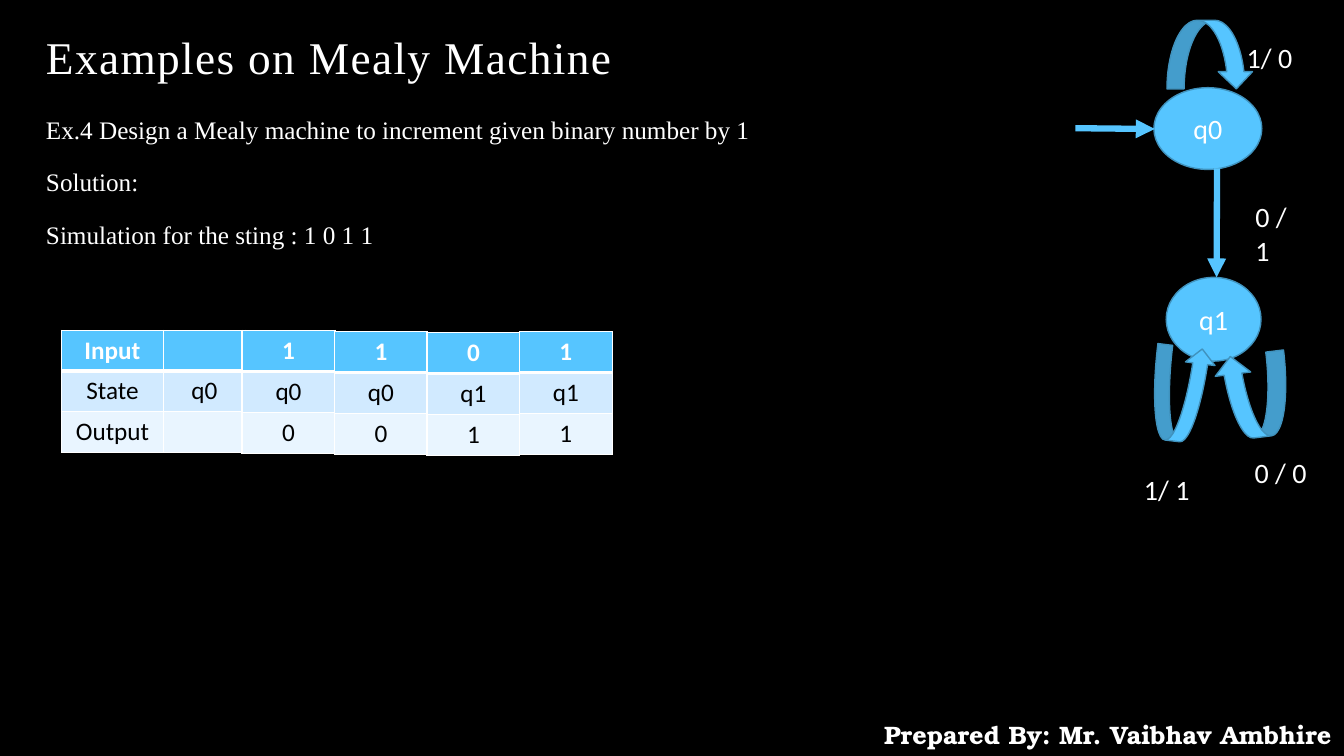
from pptx import Presentation
from pptx.dml.color import RGBColor
from pptx.enum.shapes import MSO_CONNECTOR, MSO_SHAPE
from pptx.enum.text import MSO_ANCHOR, PP_ALIGN
from pptx.oxml import parse_xml
from pptx.oxml.ns import nsdecls, qn
from pptx.util import Cm, Pt
from lxml.etree import SubElement

TITLE = "Examples on Mealy Machine"
BODY = [
    "Ex.4 Design a Mealy machine to increment given binary number by 1",
    "Solution:",
    "Simulation for the sting : 1 0 1 1",
]
FOOTER = "Prepared By: Mr. Vaibhav Ambhire"
STATES = [
    ("q0", (29.08, 2.21, 2.72, 2.06)),
    ("q1", (29.39, 6.99, 2.39, 2.11)),
]
ARROWS = [
    ((27.1, 3.23), (29.1, 3.25)),
    ((30.67, 4.24), (30.66, 6.99)),
]
LOOPS = [
    ((30.68, 8.92, 1.8, 2.11), 173, False),
    ((29.03, 8.74, 1.5, 2.39), 187, True),
    ((29.41, 0.51, 2.18, 1.73), 0, False),
]
TRANSITIONS = [
    ("0 / 0", (31.37, 11.35, 2.16, 1.12)),
    ("1/ 1", (28.58, 11.79, 1.78, 1.12)),
    ("1/ 0", (31.17, 0.89, 1.78, 1.12)),
    ("0 / 1", (31.39, 4.9, 1.78, 1.12)),
]
START = [("Input", ""), ("State", "q0"), ("Output", "")]
STEPS = [
    (("1", "q0", "0"), 8.33),
    (("1", "q0", "0"), 8.36),
    (("0", "q1", "1"), 8.38),
    (("1", "q1", "1"), 8.36),
]
STEP_LEFT, STEP_PITCH, STEP_WIDTH, ROW_HEIGHT = 6.1, 2.33, 2.34, 1.03

THEME = {
    "background": "000000",
    "accent": "56C5FF",
    "outline": "4092BD",
    "light": "FFFFFF",
    "dark": "000000",
    "rows": ["56C5FF", "D1EAFF", "E9F5FF"],
    "title": {"name": "Times New Roman", "size": Pt(32.4)},
    "body": {"name": "Times New Roman", "size": Pt(18)},
    "footer": {"name": "TeX Gyre Bonum", "size": Pt(18), "bold": True},
    "state": {"name": "Calibri", "size": Pt(20)},
    "header": {"name": "Calibri", "size": Pt(18), "bold": True},
    "cell": {"name": "Calibri", "size": Pt(18), "bold": False},
}


def lengths(values):
    return [Cm(value) for value in values]


def apply(target, values):
    for name, value in values.items():
        setattr(target, name, value)


def paint(fill, color):
    fill.solid()
    fill.fore_color.rgb = RGBColor.from_string(color)


def write(frame, lines, style, color="light", **paragraph_format):
    for index, line in enumerate(lines):
        para = frame.add_paragraph() if index else frame.paragraphs[0]
        apply(para, paragraph_format)
        span = para.add_run()
        span.text = line
        apply(span.font, THEME[style])
        span.font.color.rgb = RGBColor.from_string(THEME[color])


def add_text(page, bounds, lines, style, anchor=MSO_ANCHOR.TOP, **paragraph_format):
    box = page.shapes.add_textbox(*lengths(bounds))
    apply(box.text_frame, {"word_wrap": True, "vertical_anchor": anchor})
    write(box.text_frame, lines, style, **paragraph_format)
    return box


def add_figure(page, preset, bounds):
    figure = page.shapes.add_shape(preset, *lengths(bounds))
    figure.shadow.inherit = False
    paint(figure.fill, THEME["accent"])
    paint(figure.line.fill, THEME["outline"])
    figure.line.width = Pt(1)
    return figure


def add_arrow(page, start, end):
    arrow = page.shapes.add_connector(MSO_CONNECTOR.STRAIGHT, *lengths(start + end))
    paint(arrow.line.fill, THEME["accent"])
    arrow.line.width = Pt(4.5)
    SubElement(arrow.line._get_or_add_ln(), qn("a:tailEnd"), type="triangle")
    SubElement(arrow._element.spPr, qn("a:effectLst"))


def add_borders(cell, row):
    widths = {"L": 1, "R": 1, "T": 3 if row == 1 else 1, "B": 3 if row == 0 else 1}
    properties = cell._tc.get_or_add_tcPr()
    for index, (side, width) in enumerate(widths.items()):
        properties.insert(index, parse_xml(
            f'<a:ln{side} {nsdecls("a")} w="{Pt(width)}"><a:solidFill>'
            f'<a:srgbClr val="{THEME["light"]}"/></a:solidFill></a:ln{side}>'))


def add_grid(page, left, top, widths, rows, heights):
    bounds = (left, top, sum(widths), sum(heights))
    table = page.shapes.add_table(len(rows), len(widths), *lengths(bounds)).table
    for column, width in zip(table.columns, widths):
        column.width = Cm(width)
    for row, values in enumerate(rows):
        table.rows[row].height = Cm(heights[row])
        for column, value in enumerate(values):
            cell = table.cell(row, column)
            paint(cell.fill, THEME["rows"][row])
            add_borders(cell, row)
            if value:
                style, color = ("cell", "dark") if row else ("header", "light")
                write(cell.text_frame, [value], style, color, alignment=PP_ALIGN.CENTER)


def main():
    deck = Presentation()
    apply(deck, {"slide_width": Cm(33.87), "slide_height": Cm(19.05)})
    page = deck.slides.add_slide(deck.slide_layouts[6])
    paint(page.background.fill, THEME["background"])

    add_text(page, (21.95, 18.01, 11.94, 1.02), [FOOTER], "footer",
             alignment=PP_ALIGN.CENTER)
    title = add_text(page, (0.91, 0.89, 25.35, 1.35), [TITLE], "title",
                     MSO_ANCHOR.BOTTOM, line_spacing=0.9)
    title.text_frame.paragraphs[0].runs[0].font._element.set("spc", "100")
    add_text(page, (0.91, 2.84, 25.1, 7.37), BODY, "body",
             line_spacing=0.9, space_before=Pt(18))

    for name, bounds in STATES:
        state = add_figure(page, MSO_SHAPE.OVAL, bounds)
        state.text_frame.vertical_anchor = MSO_ANCHOR.MIDDLE
        write(state.text_frame, [name], "state", alignment=PP_ALIGN.CENTER)
    for start, end in ARROWS:
        add_arrow(page, start, end)
    for bounds, rotation, flipped in LOOPS:
        loop = add_figure(page, MSO_SHAPE.CURVED_DOWN_ARROW, bounds)
        loop.rotation = rotation
        if flipped:
            loop._element.spPr.xfrm.set("flipH", "1")
    for label, bounds in TRANSITIONS:
        add_text(page, bounds, [label], "state")

    add_grid(page, 1.55, 8.33, [2.57, 2.06], START, [0.99, ROW_HEIGHT, ROW_HEIGHT])
    for index, (values, top) in enumerate(STEPS):
        add_grid(page, STEP_LEFT + index * STEP_PITCH, top, [STEP_WIDTH],
                 [(value,) for value in values], [ROW_HEIGHT] * len(values))

    deck.save("out.pptx")


if __name__ == "__main__":
    main()
